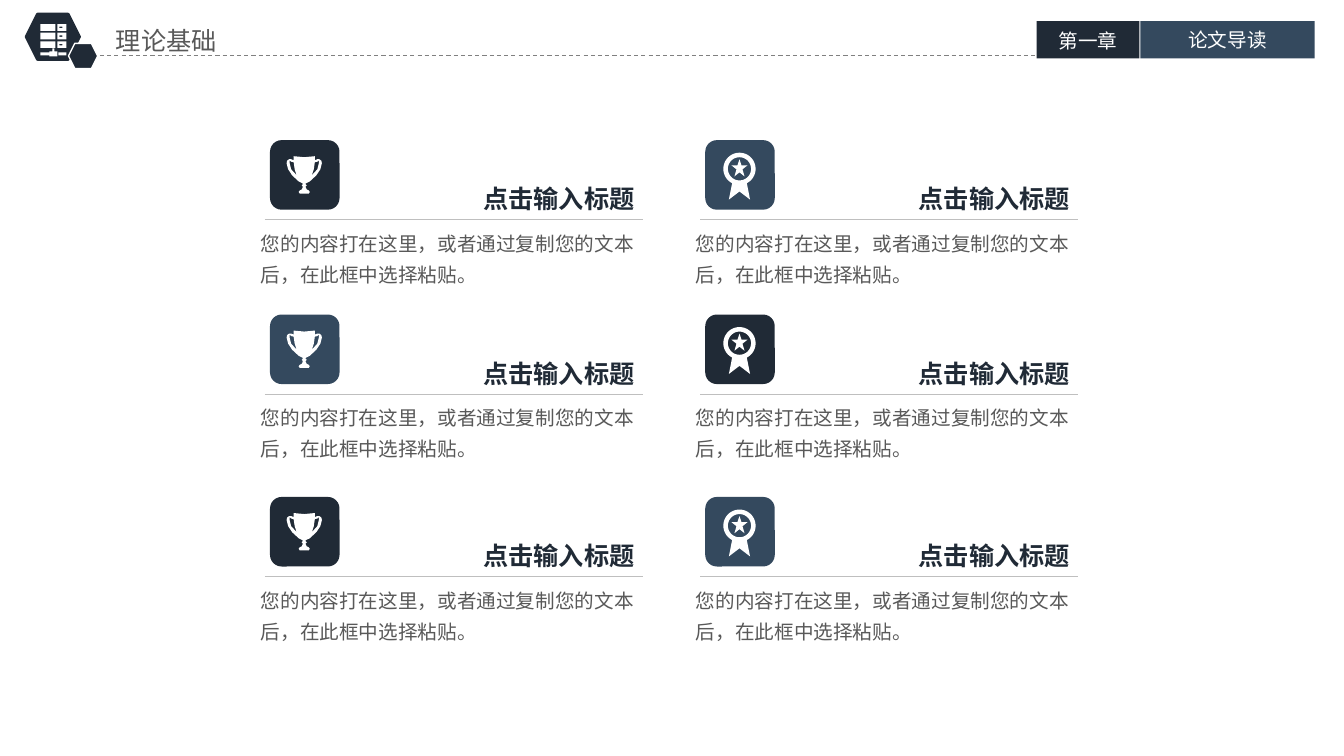
from dataclasses import dataclass
from math import cos, radians, sin

from lxml.etree import SubElement
from pptx import Presentation
from pptx.dml.color import RGBColor
from pptx.enum.dml import MSO_LINE
from pptx.enum.shapes import MSO_CONNECTOR, MSO_SHAPE
from pptx.enum.text import MSO_ANCHOR as Anchor, MSO_AUTO_SIZE as AutoSize, PP_ALIGN as Align
from pptx.oxml.ns import qn
from pptx.util import Inches, Pt


@dataclass(frozen=True)
class Theme:
    font: str = "Noto Sans CJK SC"
    dark: str = "202A36"
    blue: str = "34495E"
    white: str = "FFFFFF"
    text: str = "595959"
    dash: str = "808080"
    rule: str = "BFBFBF"
    large: int = 18
    small: int = 14
    large_pitch: int = 22
    small_pitch: int = 17
    body_pitch: int = 22


THEME = Theme()
TIGHT = (0.07, 0.04)
ROOMY = (0.1, 0.05)


def assign(target, values):
    for name, value in values.items():
        setattr(target, name, value)


def place(left, top, width, height):
    return [Inches(length) for length in (left, top, width, height)]


# Outlines
def mirror(half):
    """Close a right-hand half outline with its reflection about x = 0."""
    return half + [(-x, y) for x, y in reversed(half)]


def arc(radius, first, last, middle):
    steps = 24
    angles = [radians(first + (last - first) * i / steps) for i in range(steps + 1)]
    return [(radius * cos(a), middle + radius * sin(a)) for a in angles]


def rectangle(left, top, right, bottom):
    return [(left, top), (right, top), (right, bottom), (left, bottom)]


def shift(contours, left, top):
    """Move contours given in hundredths of an inch to a point in inches."""
    return [[(left + x / 100, top + y / 100) for x, y in contour] for contour in contours]


HANDLE = [(10.5, 22), (13, 21.5), (14.5, 20), (14.5, 23), (13, 29), (7.5, 35), (9.5, 29)]
TROPHY = [
    mirror([(0, 17), (10.5, 16), (10.5, 20), (13, 19), (15, 19), (17, 20.5), (17.5, 23),
            (16, 29), (12, 35), (5.5, 41), (1.5, 43), (1.5, 44), (2.5, 45), (1.5, 46),
            (1.5, 47), (2.5, 49), (4.5, 50), (5.5, 51.5), (4.5, 53)]),
    HANDLE,
    [(-x, y) for x, y in HANDLE],
]
MEDAL = [
    mirror(arc(16, -90, 63, 28.5) + [(10.5, 59), (0, 51)]),
    mirror(arc(11.5, -90, 90, 28.5)),
    mirror([(0, 19), (2, 25), (8, 25), (3, 29), (5, 36), (0, 32)]),
]
SERVER = [rectangle(*box) for top in (24, 32.5, 41) for box in (
    (40, top, 55, top + 6.5), (57, top, 66, top + 6.5), (59, top + 2.5, 62, top + 4))]
SERVER += [rectangle(52, 48, 54, 51), rectangle(49, 51, 57, 56),
           rectangle(40, 52, 49, 55), rectangle(58, 52, 66, 55)]


class Painter:
    def __init__(self, page, theme):
        self.page, self.theme = page, theme

    def paint(self, shape, fill, line=None, weight=1):
        shape.shadow.inherit = False
        shape.fill.solid()
        shape.fill.fore_color.rgb = RGBColor.from_string(fill)
        if line:
            shape.line.color.rgb = RGBColor.from_string(line)
            shape.line.width = Pt(weight)
        else:
            shape.line.fill.background()

    def shape(self, kind, box, fill, line=None, weight=1):
        self.paint(self.page.shapes.add_shape(kind, *place(*box)), fill, line, weight)

    def icon(self, contours):
        builder = None
        for contour in contours:
            points = [(Inches(x), Inches(y)) for x, y in contour]
            if builder is None:
                builder = self.page.shapes.build_freeform(*points[0])
            else:
                builder.move_to(*points[0])
            builder.add_line_segments(points[1:], close=True)
        self.paint(builder.convert_to_shape(), self.theme.white)

    def rule(self, left, right, top, color, dash=None):
        line = self.page.shapes.add_connector(
            MSO_CONNECTOR.STRAIGHT, Inches(left), Inches(top), Inches(right), Inches(top))
        line.line.color.rgb = RGBColor.from_string(color)
        assign(line.line, {"width": Pt(0.75), "dash_style": dash})
        SubElement(line.element.spPr, qn("a:effectLst"))

    def label(self, box, words, size, pitch, color, insets=ROOMY, align=Align.LEFT,
              anchor=Anchor.TOP, wrap=True, bold=False, holder=None):
        holder = holder or self.page.shapes.add_textbox(*place(*box))
        assign(holder, dict(zip(("left", "top", "width", "height"), place(*box))))
        frame = holder.text_frame
        side, edge = Inches(insets[0]), Inches(insets[1])
        assign(frame, {"word_wrap": wrap, "auto_size": AutoSize.NONE,
                       "vertical_anchor": anchor, "margin_left": side, "margin_right": side,
                       "margin_top": edge, "margin_bottom": edge})
        para = frame.paragraphs[0]
        assign(para, {"alignment": align, "line_spacing": Pt(pitch)})
        span = para.add_run()
        span.text = words
        assign(span.font, {"name": self.theme.font, "size": Pt(size), "bold": bold})
        span.font.color.rgb = RGBColor.from_string(color)
        SubElement(span._r.get_or_add_rPr(), qn("a:ea"), typeface=self.theme.font)

    def header(self):
        t = self.theme
        self.label((1.08, 0.21, 2.05, 0.38), "理论基础", t.large, t.large_pitch, t.text,
                   TIGHT, holder=self.page.shapes.title)
        self.shape(MSO_SHAPE.HEXAGON, (0.26, 0.14, 0.53, 0.45), t.dark, t.dark, 2)
        self.rule(0.92, 10.29, 0.55, t.dash, MSO_LINE.DASH)
        self.shape(MSO_SHAPE.HEXAGON, (0.68, 0.43, 0.29, 0.25), t.dark, t.white)
        for left, width, top, fill, words in ((10.29, 1.02, 0.24, t.dark, "第一章"),
                                              (11.32, 1.73, 0.23, t.blue, "论文导读")):
            self.shape(MSO_SHAPE.RECTANGLE, (left, 0.21, width, 0.37), fill)
            self.label((left, top, width, 0.31), words, t.small, t.small_pitch,
                       t.white, TIGHT, Align.CENTER)
        self.icon(shift(SERVER, 0, 0))

    def card(self, left, top, fill, symbol):
        t = self.theme
        self.shape(MSO_SHAPE.ROUNDED_RECTANGLE, (left, top, 0.69, 0.69), fill)
        self.icon(shift(symbol, left + 0.34, top))
        self.rule(left - 0.05, left + 3.7, top + 0.79, t.rule)
        self.label((left + 2.02, top + 0.38, 1.72, 0.4), "点击输入标题", t.large,
                   t.large_pitch, t.dark, anchor=Anchor.MIDDLE, wrap=False, bold=True)
        self.label((left - 0.19, top + 0.79, 4.08, 0.68),
                   "您的内容打在这里，或者通过复制您的文本后，在此框中选择粘贴。",
                   t.small, t.body_pitch, t.text)


def main():
    deck = Presentation()
    assign(deck, {"slide_width": Inches(13.34), "slide_height": Inches(7.5)})
    painter = Painter(deck.slides.add_slide(deck.slide_layouts[5]), THEME)
    painter.header()

    # Cards: two columns of three, with alternating tile colours
    for row, top in enumerate((1.39, 3.12, 4.93)):
        for column, symbol in enumerate((TROPHY, MEDAL)):
            fill = (THEME.dark, THEME.blue)[(row + column) % 2]
            painter.card(2.68 + 4.32 * column, top, fill, symbol)
    deck.save("out.pptx")


if __name__ == "__main__":
    main()
